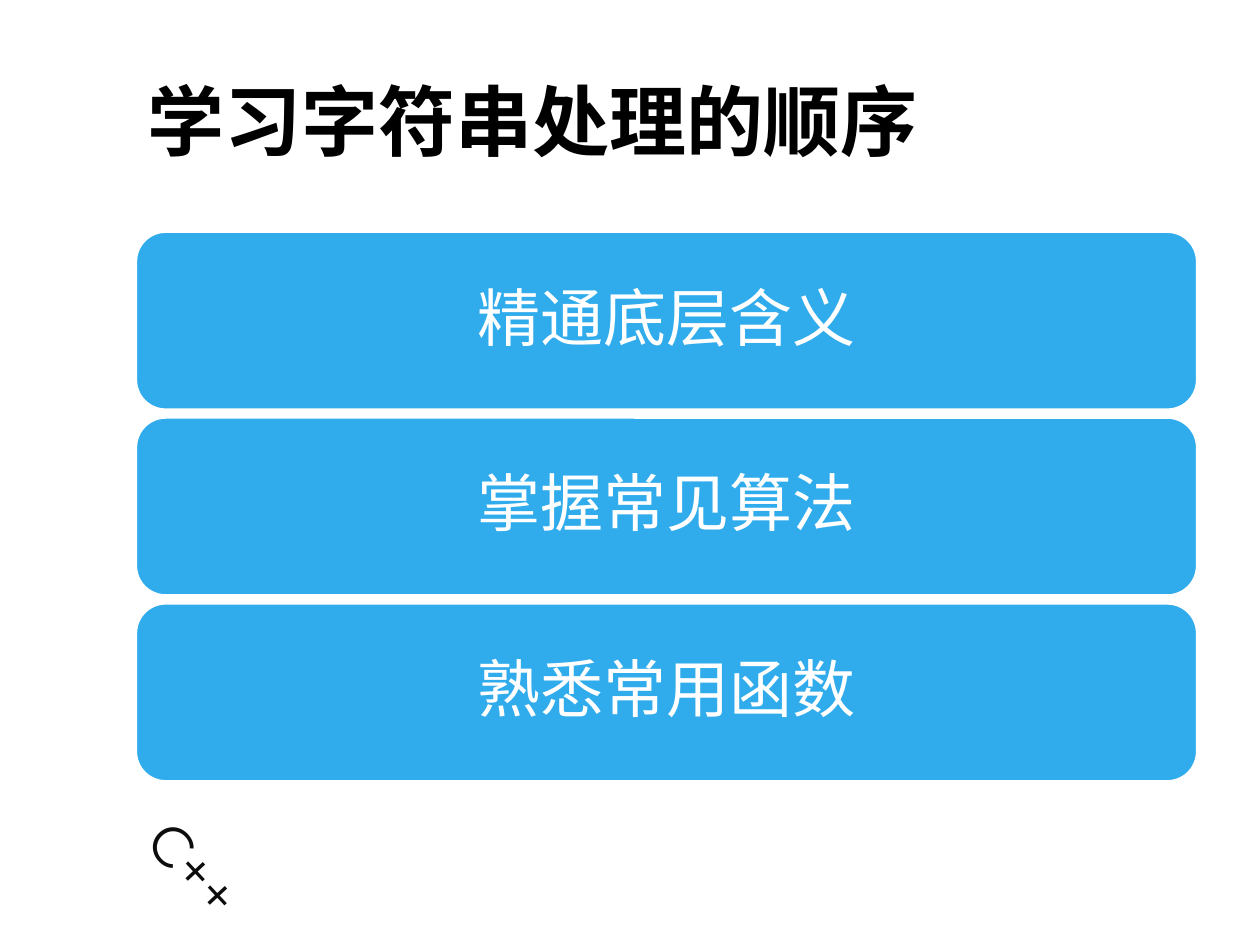
from dataclasses import dataclass

from pptx import Presentation
from pptx.dml.color import RGBColor
from pptx.enum.shapes import MSO_SHAPE
from pptx.enum.text import MSO_ANCHOR, MSO_AUTO_SIZE, PP_ALIGN
from pptx.util import Inches, Pt

ROUNDED = MSO_SHAPE.ROUNDED_RECTANGLE
TOP, MIDDLE = MSO_ANCHOR.TOP, MSO_ANCHOR.MIDDLE
LEFT, CENTER = PP_ALIGN.LEFT, PP_ALIGN.CENTER
FIT_SHAPE = MSO_AUTO_SIZE.SHAPE_TO_FIT_TEXT

STEP_TOP = 1.84
STEP_PITCH = 1.475


@dataclass
class Box:
    left: float
    top: float
    width: float
    height: float

    def lengths(self):
        return [Inches(v) for v in (self.left, self.top, self.width, self.height)]


def color(hex_value: str) -> RGBColor:
    return RGBColor.from_string(hex_value)


def write(tf, text: str, *, size: float, hex_value: str, font: str = "Arial",
          bold: bool = False, align=LEFT, anchor=MIDDLE, spacing: float = 1.0):
    tf.word_wrap = True
    tf.vertical_anchor = anchor
    p = tf.paragraphs[0]
    p.alignment = align
    p.line_spacing = spacing
    r = p.add_run()
    r.text = text
    r.font.name = font
    r.font.size = Pt(size)
    r.font.bold = bold
    r.font.color.rgb = color(hex_value)


def add_label(s, box: Box, text: str, rotation: float = 0, **style):
    sp = s.shapes.add_textbox(*box.lengths())
    sp.rotation = rotation
    write(sp.text_frame, text, **style)
    return sp


def add_step(s, box: Box, text: str):
    sp = s.shapes.add_shape(ROUNDED, *box.lengths())
    sp.shadow.inherit = False
    sp.fill.solid()
    sp.fill.fore_color.rgb = color("30ACEC")
    sp.line.color.rgb = color("FFFFFF")
    sp.line.width = Pt(1.25)
    tf = sp.text_frame
    tf.margin_left = tf.margin_right = Inches(0.15)
    tf.margin_top = tf.margin_bottom = Inches(0.07)
    write(tf, text, size=36, hex_value="FFFFFF", align=CENTER, spacing=0.9)


def main():
    prs = Presentation()
    prs.slide_width, prs.slide_height = Inches(10), Inches(7.5)
    s = prs.slides.add_slide(prs.slide_layouts[6])

    language = add_label(s, Box(0.94, 6.78, 1.61, 0.64), "C++", rotation=46.9,
                         size=32, hex_value="0D0D0D", font="Montserrat", anchor=TOP)
    language.text_frame.auto_size = FIT_SHAPE
    add_label(s, Box(1.07, 0.29, 8.43, 1.32), "学习字符串处理的顺序",
              size=44, hex_value="000000", bold=True)

    for i, text in enumerate(["精通底层含义", "掌握常见算法", "熟悉常用函数"]):
        add_step(s, Box(1.08, STEP_TOP + i * STEP_PITCH, 8.42, 1.41), text)

    prs.save("out.pptx")


if __name__ == "__main__":
    main()
